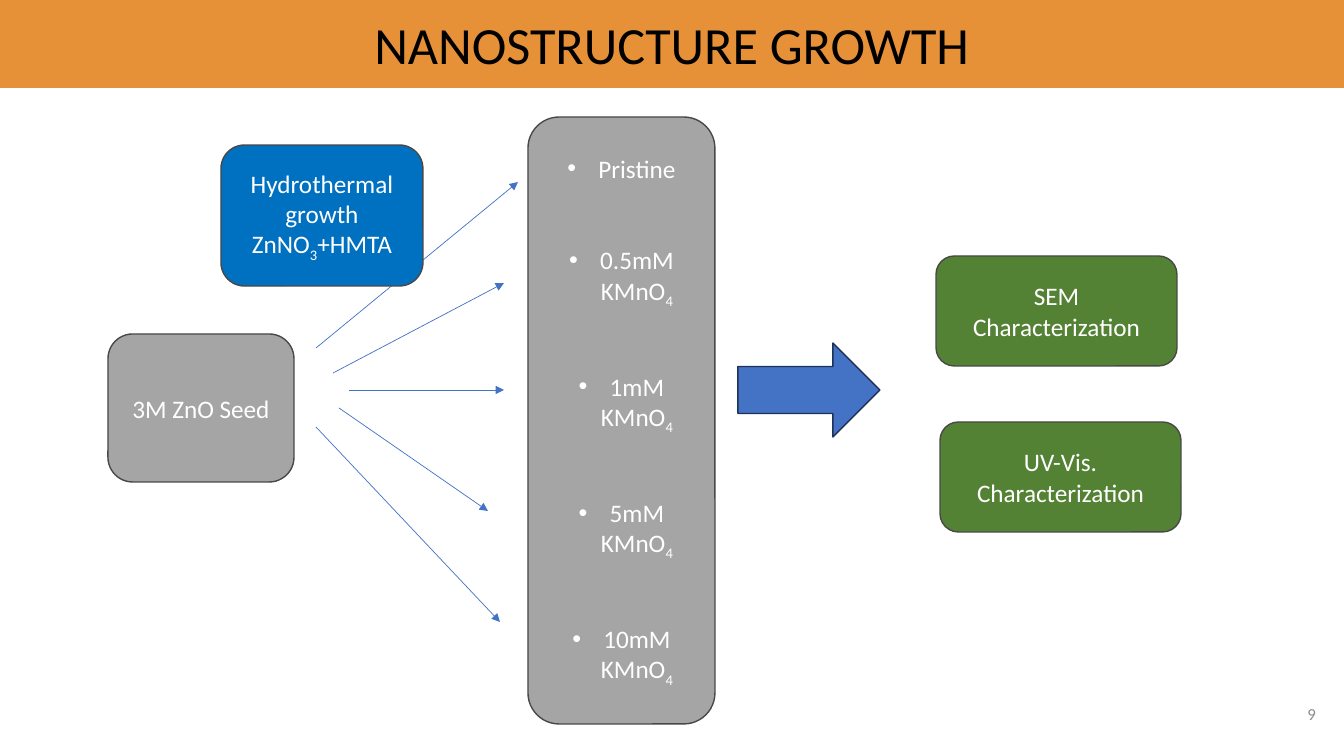
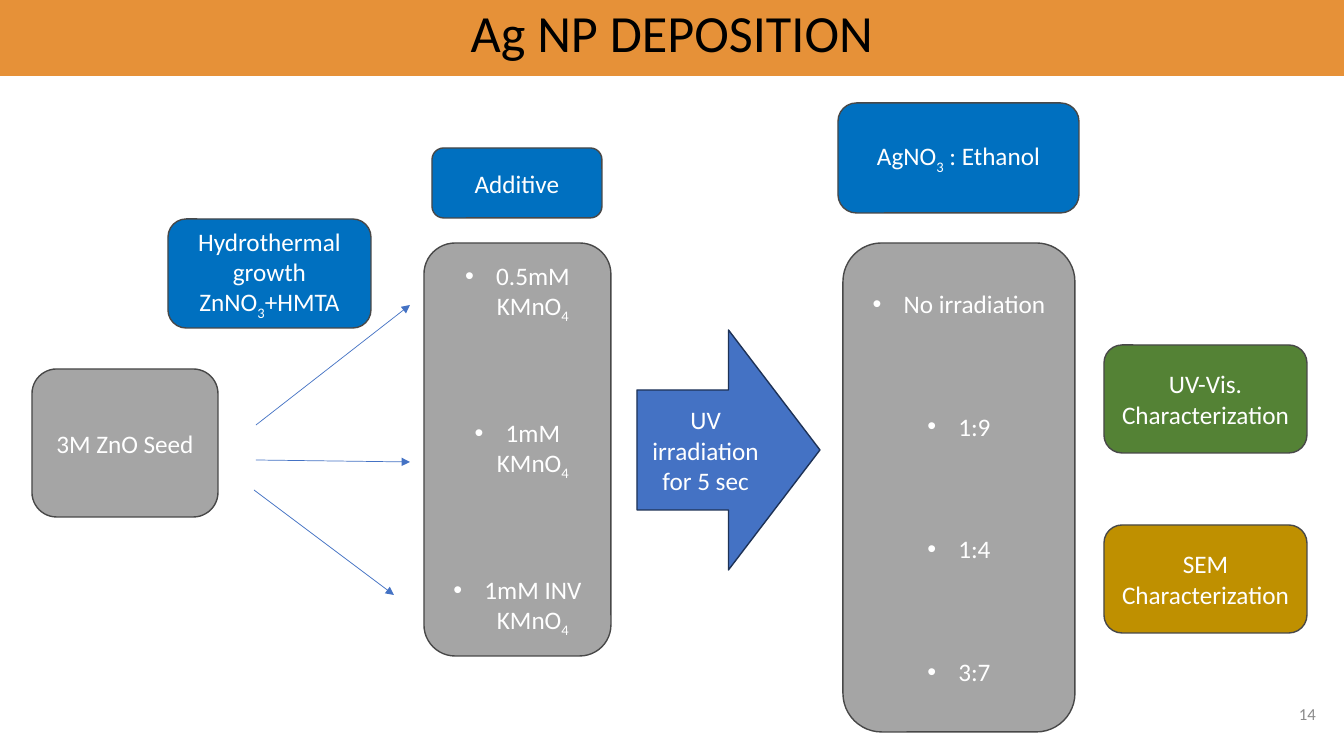
from dataclasses import dataclass

from lxml.etree import SubElement
from pptx import Presentation
from pptx.dml.color import RGBColor
from pptx.enum.shapes import MSO_CONNECTOR as Connector, MSO_SHAPE as Shape
from pptx.enum.text import MSO_ANCHOR as Anchor, MSO_AUTO_SIZE as AutoSize, PP_ALIGN as Align
from pptx.oxml.ns import qn
from pptx.util import Emu, Pt


@dataclass(frozen=True)
class Theme:
    font: str = "Calibri"
    title_size: float = 37.3
    body_size: float = 18
    number_size: float = 12
    band: str = "E69138"
    material: str = "A5A5A5"
    process: str = "0070C0"
    result: str = "548235"
    result_alt: str = "BF9000"
    accent: str = "4472C4"
    accent_edge: str = "1E3256"
    edge: str = "484848"
    dark: str = "000000"
    light: str = "FFFFFF"
    muted: str = "8C8C8C"


THEME = Theme()
PX = 914400 / 100.8
BULLET_INDENT = 31


def px(*lengths):
    return [Emu(round(length * PX)) for length in lengths]


def write(shape, text, size=THEME.body_size, color=THEME.light, align=Align.CENTER,
          inset=None, bullet=False, gap=0):
    """Fill a shape with one paragraph per line; text between ~ marks is subscript."""
    frame = shape.text_frame
    frame.word_wrap = True
    frame.auto_size = AutoSize.NONE
    frame.vertical_anchor = Anchor.MIDDLE
    if inset is not None:
        frame.margin_left, frame.margin_top, frame.margin_right, frame.margin_bottom = px(*[inset] * 4)
    for index, line in enumerate(text.split("\n")):
        paragraph = frame.add_paragraph() if index else frame.paragraphs[0]
        if bullet:
            properties = paragraph._p.get_or_add_pPr()
            indent = px(BULLET_INDENT)[0]
            properties.set("marL", str(indent))
            properties.set("indent", str(-indent))
            SubElement(properties, qn("a:buFont")).set("typeface", "Arial")
            SubElement(properties, qn("a:buChar")).set("char", "•")
        paragraph.alignment = align
        if index and gap:
            paragraph.space_before = Pt(gap)
        for part_index, part in enumerate(line.split("~")):
            if not part:
                continue
            run = paragraph.add_run()
            run.text = part
            run.font.name = THEME.font
            run.font.size = Pt(size)
            run.font.color.rgb = RGBColor.from_string(color)
            if part_index % 2:
                run._r.get_or_add_rPr().set("baseline", "-25000")


# Content: boxes are (rectangle, fill, text), lists add the gap between items in points
SEED = "3M ZnO Seed"
GROWTH = "Hydrothermal growth\nZnNO~3~+HMTA"
UV_VIS = "UV-Vis.\nCharacterization"
SEM = "SEM\nCharacterization"

stages = [
    dict(
        title="NANOSTRUCTURE GROWTH", title_top=0, number="9",
        branches=[(316, 348, 518, 182), (333, 373, 504, 283), (349, 390, 504, 390),
                  (339, 408, 488, 511), (316, 427, 500, 622)],
        boxes=[((108, 334, 186, 148), THEME.material, SEED),
               ((221, 145, 202, 141), THEME.process, GROWTH),
               ((936, 256, 241, 110), THEME.result, SEM),
               ((940, 422, 241, 110), THEME.result, UV_VIS)],
        lists=[((528, 117, 187, 607), 44,
                "Pristine\n0.5mM KMnO~4~\n1mM KMnO~4~\n5mM KMnO~4~\n10mM KMnO~4~")],
        step=((738, 343, 142, 94), ""),
    ),
    dict(
        title="Ag NP DEPOSITION", title_top=-12, number="14",
        branches=[(256, 425, 410, 305), (256, 460, 410, 462), (254, 490, 394, 595)],
        boxes=[((32, 369, 186, 148), THEME.material, SEED),
               ((168, 219, 203, 109), THEME.process, GROWTH),
               ((432, 148, 170, 70), THEME.process, "Additive"),
               ((838, 103, 241, 110), THEME.process, "AgNO~3~ : Ethanol"),
               ((1104, 345, 203, 108), THEME.result, UV_VIS),
               ((1104, 525, 203, 108), THEME.result_alt, SEM)],
        lists=[((424, 243, 187, 413), 66, "0.5mM KMnO~4~\n1mM KMnO~4~\n1mM INV KMnO~4~"),
               ((843, 243, 232, 489), 66, "No irradiation\n1:9\n1:4\n3:7")],
        step=((637, 330, 183, 240), "UV irradiation for 5 sec"),
    ),
]

deck = Presentation()
deck.slide_width, deck.slide_height = px(1344, 756)
title_only = deck.slide_layouts[5]

for stage in stages:
    slide = deck.slides.add_slide(title_only)

    # Title band
    band = slide.shapes.title
    band.left, band.top, band.width, band.height = px(0, stage["title_top"], 1344, 88)
    band.fill.solid()
    band.fill.fore_color.rgb = band.line.color.rgb = RGBColor.from_string(THEME.band)
    band.line.width = Pt(0.75)
    write(band, stage["title"], size=THEME.title_size, color=THEME.dark, inset=13)

    # Branching arrows
    for ends in stage["branches"]:
        branch = slide.shapes.add_connector(Connector.STRAIGHT, *px(*ends))
        branch.line.color.rgb = RGBColor.from_string(THEME.accent)
        branch.line.width = Pt(0.5)
        SubElement(branch.line._get_or_add_ln(), qn("a:tailEnd")).set("type", "triangle")
        SubElement(branch._element.spPr, qn("a:effectLst"))

    # Boxes, bulleted lists and the process arrow
    step_area, step_text = stage["step"]
    blocks = [(Shape.ROUNDED_RECTANGLE, area, fill, THEME.edge, text, {})
              for area, fill, text in stage["boxes"]]
    blocks += [(Shape.ROUNDED_RECTANGLE, area, THEME.material, THEME.edge, text,
                dict(bullet=True, gap=gap)) for area, gap, text in stage["lists"]]
    blocks.append((Shape.RIGHT_ARROW, step_area, THEME.accent, THEME.accent_edge, step_text, {}))
    for outline, area, fill, edge, text, text_format in blocks:
        block = slide.shapes.add_shape(outline, *px(*area))
        block.shadow.inherit = False
        block.fill.solid()
        block.fill.fore_color.rgb = RGBColor.from_string(fill)
        block.line.color.rgb = RGBColor.from_string(edge)
        block.line.width = Pt(1)
        write(block, text, **text_format)

    # Page number
    number = slide.shapes.add_textbox(*px(1245, 685, 81, 58))
    write(number, stage["number"], size=THEME.number_size, color=THEME.muted,
          align=Align.RIGHT, inset=10)

deck.save("out.pptx")
